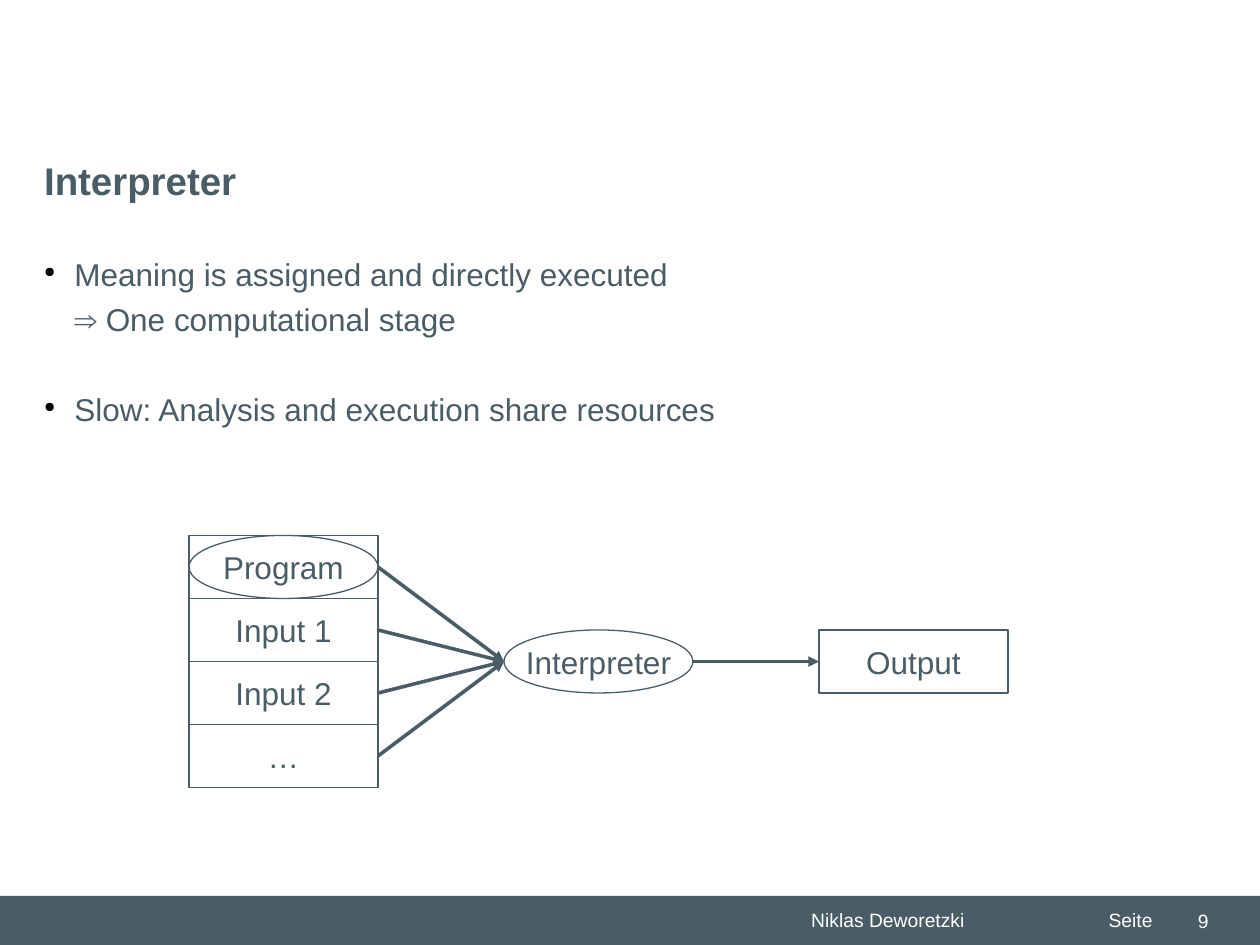
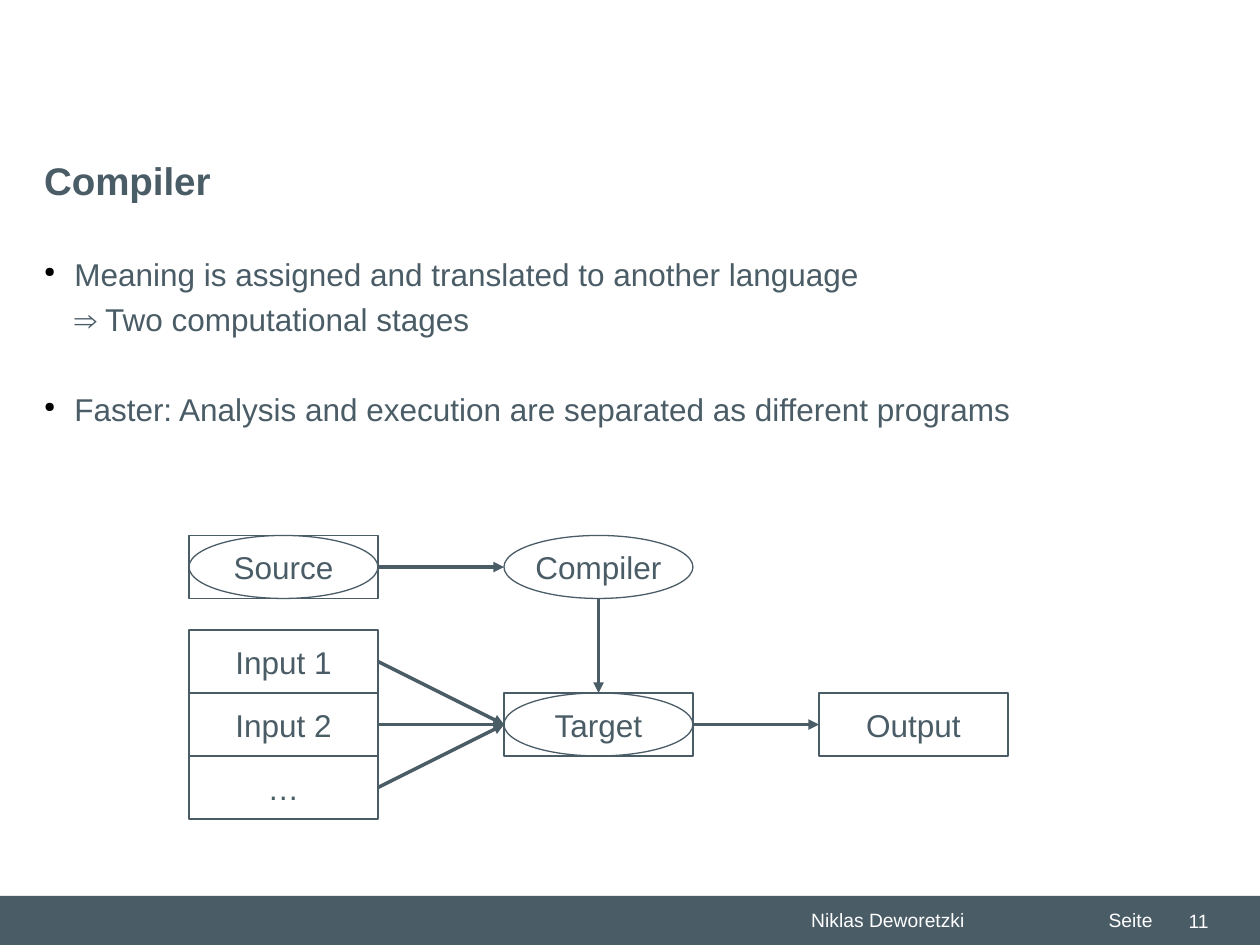
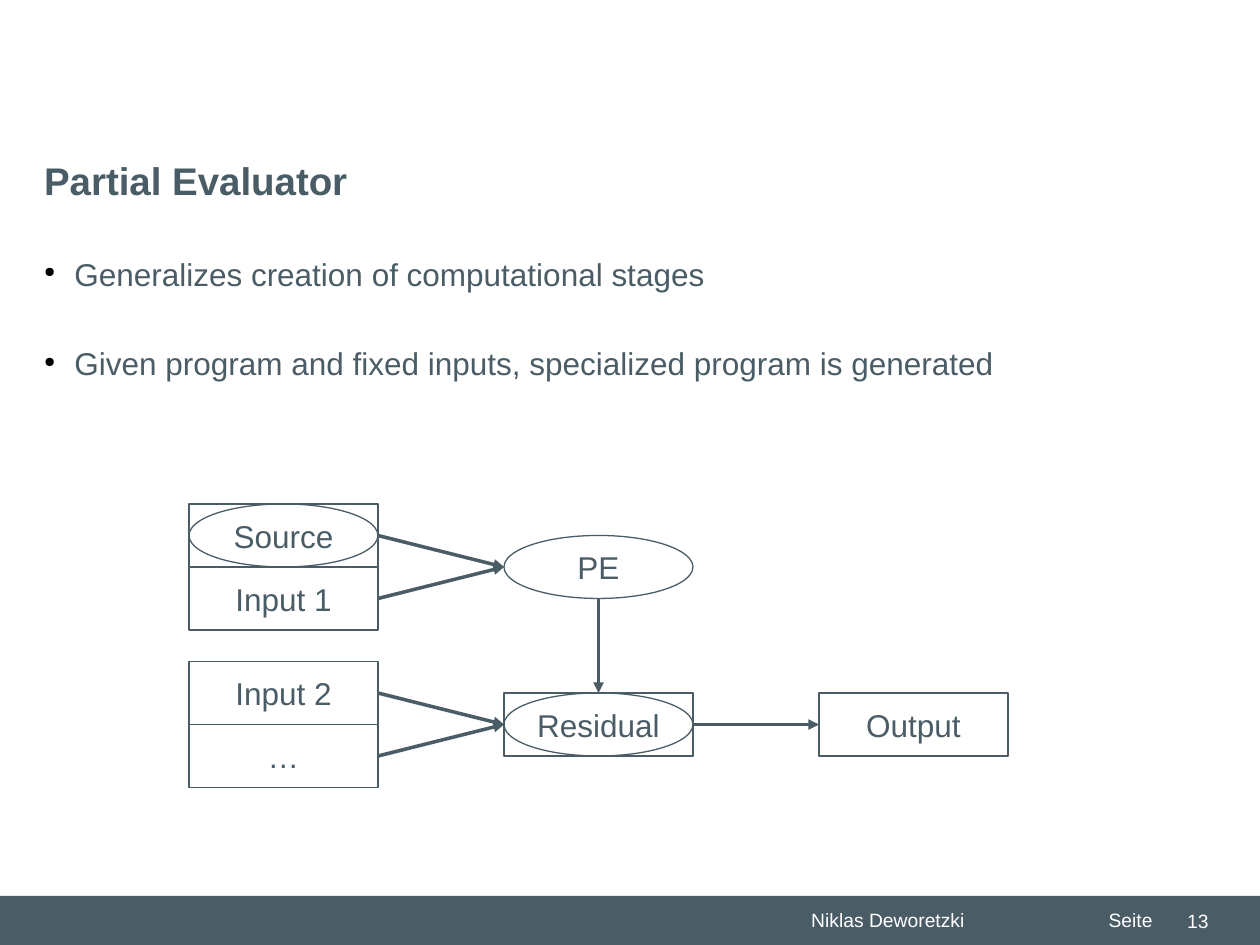
from lxml.etree import SubElement
from pptx import Presentation
from pptx.dml.color import RGBColor
from pptx.enum.shapes import MSO_CONNECTOR, MSO_SHAPE
from pptx.enum.text import MSO_ANCHOR, PP_ALIGN
from pptx.oxml.ns import qn
from pptx.util import Inches, Pt

SLATE = RGBColor(0x4A, 0x5C, 0x66)
WHITE = RGBColor(0xFF, 0xFF, 0xFF)
FONT = "Arial"
AUTHOR = "Niklas Deworetzki"
PAGE_LABEL = "Seite"

COLUMNS = (1.5, 4, 6.5)
NODE_WIDTH, NODE_HEIGHT = 1.5, 0.5
TOP, LEFT, BOTTOM, RIGHT = range(4)
BULLET_INDENT = 0.24

SLIDES = [
    {
        "number": 9,
        "title": "Interpreter",
        "points": [
            ("Meaning is assigned and directly executed", "⇒ One computational stage"),
            ("Slow: Analysis and execution share resources",),
        ],
        "nodes": [
            ("Program", "program", 0, 4.25),
            ("Input 1", "data", 0, 4.75),
            ("Input 2", "data", 0, 5.25),
            ("…", "data", 0, 5.75),
            ("Interpreter", "tool", 1, 5),
            ("Output", "data", 2, 5),
        ],
        "flows": [
            (("Program", "Input 1", "Input 2", "…"), "Interpreter"),
            (("Interpreter",), "Output"),
        ],
    },
    {
        "number": 11,
        "title": "Compiler",
        "points": [
            ("Meaning is assigned and translated to another language", "⇒ Two computational stages"),
            ("Faster: Analysis and execution are separated as different programs",),
        ],
        "nodes": [
            ("Source", "program", 0, 4.25),
            ("Input 1", "data", 0, 5),
            ("Input 2", "data", 0, 5.5),
            ("…", "data", 0, 6),
            ("Compiler", "tool", 1, 4.25),
            ("Target", "program", 1, 5.5),
            ("Output", "data", 2, 5.5),
        ],
        "flows": [
            (("Source",), "Compiler"),
            (("Input 1", "Input 2", "…", "Compiler"), "Target"),
            (("Target",), "Output"),
        ],
    },
    {
        "number": 13,
        "title": "Partial Evaluator",
        "points": [
            ("Generalizes creation of computational stages",),
            ("Given program and fixed inputs, specialized program is generated",),
        ],
        "nodes": [
            ("Source", "program", 0, 4),
            ("Input 1", "data", 0, 4.5),
            ("Input 2", "data", 0, 5.25),
            ("…", "data", 0, 5.75),
            ("PE", "tool", 1, 4.25),
            ("Residual", "program", 1, 5.5),
            ("Output", "data", 2, 5.5),
        ],
        "flows": [
            (("Source", "Input 1"), "PE"),
            (("Input 2", "…", "PE"), "Residual"),
            (("Residual",), "Output"),
        ],
    },
]


def write(paragraph, text, size=18, color=SLATE, bold=False, align=None):
    span = paragraph.add_run()
    span.text = text
    span.font.name = FONT
    span.font.size = Pt(size)
    span.font.color.rgb = color
    span.font.bold = bold
    paragraph.alignment = align


def add_text_box(page, left, top, width, height, inset_left=0.1, inset_right=0.1):
    box = page.shapes.add_textbox(Inches(left), Inches(top), Inches(width), Inches(height))
    frame = box.text_frame
    frame.word_wrap = True
    frame.margin_left = Inches(inset_left)
    frame.margin_right = Inches(inset_right)
    return frame


def add_outline(page, shape_type, left, top, width, height, fill=None, line=None):
    shape = page.shapes.add_shape(
        shape_type, Inches(left), Inches(top), Inches(width), Inches(height))
    shape.shadow.inherit = False
    if fill is None:
        shape.fill.background()
    else:
        shape.fill.solid()
        shape.fill.fore_color.rgb = fill
    if line is None:
        shape.line.fill.background()
    else:
        shape.line.color.rgb = line
        shape.line.width = Pt(0)
    return shape


def add_footer(page, number):
    add_outline(page, MSO_SHAPE.RECTANGLE, 0, 7.11, 10, 0.39, fill=SLATE)
    for text, left, width in ((AUTHOR, 6.34, 2.36), (PAGE_LABEL, 8.7, 0.63)):
        frame = add_text_box(page, left, 7.16, width, 0.28)
        write(frame.paragraphs[0], text, size=11, color=WHITE)
    frame = add_text_box(page, 9.17, 7.16, 0.52, 0.29)
    frame.vertical_anchor = MSO_ANCHOR.MIDDLE
    write(frame.paragraphs[0], str(number), size=11, color=WHITE, align=PP_ALIGN.RIGHT)


def add_bullet(properties):
    properties.set("indent", str(-Inches(BULLET_INDENT)))
    color = SubElement(properties, qn("a:buClr"))
    SubElement(color, qn("a:srgbClr"), val="000000")
    SubElement(properties, qn("a:buSzPct"), val="45000")
    SubElement(properties, qn("a:buChar"), char="●")


def add_points(page, points):
    frame = add_text_box(page, 0.35, 1.96, 9.15, 1.73, inset_left=0)
    for point_index, lines in enumerate(points):
        for line_index, text in enumerate(lines):
            first = point_index == line_index == 0
            paragraph = frame.paragraphs[0] if first else frame.add_paragraph()
            properties = paragraph._p.get_or_add_pPr()
            properties.set("marL", str(Inches(BULLET_INDENT)))
            if line_index == 0:
                add_bullet(properties)
            paragraph.line_spacing = 1.04
            if not first:
                paragraph.space_before = Pt(3.6 if line_index else 28.7)
            write(paragraph, text)


def add_node(page, text, kind, column, top):
    place = (COLUMNS[column], top, NODE_WIDTH, NODE_HEIGHT)
    shape_type = MSO_SHAPE.RECTANGLE if kind == "data" else MSO_SHAPE.OVAL
    shape = add_outline(page, shape_type, *place, line=SLATE)
    frame = shape.text_frame
    frame.word_wrap = False
    frame.vertical_anchor = MSO_ANCHOR.MIDDLE
    write(frame.paragraphs[0], text, align=PP_ALIGN.CENTER)
    if kind == "program":
        shape = add_outline(page, MSO_SHAPE.RECTANGLE, *place, line=SLATE)
    return shape


def side_point(shape, side):
    across = {LEFT: 0, RIGHT: shape.width}.get(side, shape.width // 2)
    down = {TOP: 0, BOTTOM: shape.height}.get(side, shape.height // 2)
    return shape.left + across, shape.top + down


def add_arrow(page, source, target):
    same_column = source.left == target.left
    start, end = (BOTTOM, TOP) if same_column else (RIGHT, LEFT)
    arrow = page.shapes.add_connector(
        MSO_CONNECTOR.STRAIGHT, *side_point(source, start), *side_point(target, end))
    if source.auto_shape_type == MSO_SHAPE.RECTANGLE:
        arrow.begin_connect(source, start)
    if target.auto_shape_type == MSO_SHAPE.RECTANGLE:
        arrow.end_connect(target, end)
    arrow.line.color.rgb = SLATE
    arrow.line.width = Pt(0)
    SubElement(arrow.line._get_or_add_ln(), qn("a:tailEnd"), type="triangle")
    SubElement(arrow._element.spPr, qn("a:effectLst"))


def build_slide(deck, content):
    page = deck.slides.add_slide(deck.slide_layouts[6])
    add_footer(page, content["number"])
    title = add_text_box(page, 0.35, 1.2, 9.21, 0.63, inset_left=0, inset_right=0)
    write(title.paragraphs[0], content["title"], size=22, bold=True)
    add_points(page, content["points"])
    nodes = {node[0]: add_node(page, *node) for node in content["nodes"]}
    for sources, target in content["flows"]:
        for source in sources:
            add_arrow(page, nodes[source], nodes[target])


def main():
    deck = Presentation()
    deck.slide_width = Inches(10)
    deck.slide_height = Inches(7.5)
    for content in SLIDES:
        build_slide(deck, content)
    deck.save("out.pptx")


if __name__ == "__main__":
    main()
